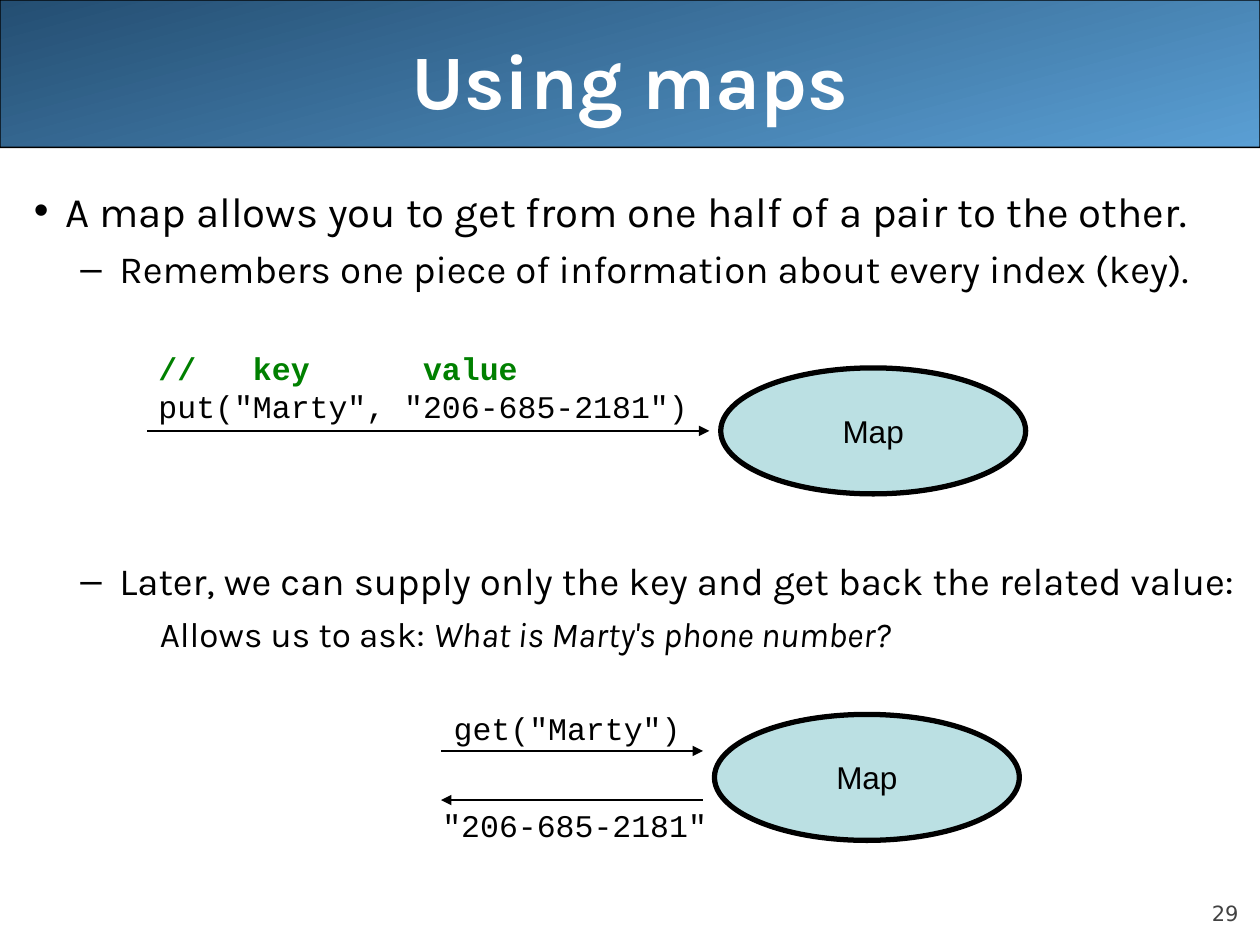
from pptx import Presentation
from pptx.dml.color import RGBColor
from pptx.enum.shapes import MSO_CONNECTOR as Link, MSO_SHAPE as Shape
from pptx.enum.text import MSO_ANCHOR as Anchor, PP_ALIGN as Align
from pptx.oxml.ns import qn
from pptx.util import Inches, Pt
from lxml.etree import SubElement

BLACK = RGBColor(0, 0, 0)
WHITE = RGBColor(255, 255, 255)
GRAY = RGBColor(0x42, 0x42, 0x42)
GREEN = RGBColor(0, 0x80, 0)
NAVY = RGBColor(0x24, 0x4E, 0x72)
SKY = RGBColor(0x5A, 0x9F, 0xD4)
AQUA = RGBColor(0xBB, 0xE0, 0xE3)
SANS, CODE = "Karla", "Courier New"


def write(para, text, font=SANS, size=18, color=BLACK, bold=False,
          slant=False, align=Align.LEFT, before=0):
    para.alignment = align
    para.space_before = Pt(before)
    run = para.add_run()
    run.text = text
    face = run.font
    face.name, face.size, face.bold, face.italic = font, Pt(size), bold, slant
    face.color.rgb = color


def indent(para, left, hang=0, mark=None):
    props = para._p.get_or_add_pPr()
    props.set("marL", str(Inches(left)))
    props.set("indent", str(-Inches(hang)))
    if mark:
        tint = SubElement(props, qn("a:buClr"))
        SubElement(tint, qn("a:srgbClr")).set("val", str(BLACK))
        SubElement(props, qn("a:buFont")).set("typeface", "Arial")
        SubElement(props, qn("a:buChar")).set("char", mark)


def frame(slide, left, top, width, height, anchor=Anchor.TOP, wrap=True):
    box = slide.shapes.add_textbox(Inches(left), Inches(top),
                                   Inches(width), Inches(height))
    text = box.text_frame
    text.word_wrap = wrap
    text.vertical_anchor = anchor
    return text


def solid(slide, kind, left, top, width, height, weight):
    shape = slide.shapes.add_shape(kind, Inches(left), Inches(top),
                                   Inches(width), Inches(height))
    shape.shadow.inherit = False
    shape.line.color.rgb = BLACK
    shape.line.width = Pt(weight)
    return shape


def arrow(slide, left, top, width, end="tailEnd"):
    line = slide.shapes.add_connector(Link.STRAIGHT, Inches(left), Inches(top),
                                      Inches(left + width), Inches(top))
    line.line.color.rgb = BLACK
    line.line.width = Pt(0.75)
    SubElement(line.line._get_or_add_ln(), qn("a:" + end)).set("type", "triangle")
    SubElement(line._element.spPr, qn("a:effectLst"))


def map_oval(slide, left, top):
    oval = solid(slide, Shape.OVAL, left, top, 2.42, 1, 3)
    oval.fill.solid()
    oval.fill.fore_color.rgb = AQUA
    text = oval.text_frame
    text.word_wrap = False
    text.vertical_anchor = Anchor.MIDDLE
    write(text.paragraphs[0], "Map", font="Arial", align=Align.CENTER)


def header(slide, left, top, width, height):
    band = solid(slide, Shape.ROUNDED_RECTANGLE, left, top, width, height, 0.75)
    band.adjustments[0] = 0.001
    band.fill.gradient()
    band.fill.gradient_angle = 285
    for stop, color in zip(band.fill.gradient_stops, (NAVY, SKY)):
        stop.color.rgb = color
    text = frame(slide, left + 0.5, top, width - 1, 1.25, Anchor.MIDDLE)
    write(text.paragraphs[0], "Using maps", size=44, color=WHITE, bold=True,
          align=Align.CENTER)


def body(slide, left, top, width, height):
    text = frame(slide, left, top, width, height)
    first = text.paragraphs[0]
    indent(first, 0.25, 0.25, "•")
    write(first, "A map allows you to get from one half of a pair to the other.", size=24)
    for words, gap in (
            ("Remembers one piece of information about every index (key).", 5.5),
            ("Later, we can supply only the key and get back the related value:", 152)):
        para = text.add_paragraph()
        indent(para, 0.68, 0.31, "–")
        write(para, words, size=22, before=gap)
    last = text.add_paragraph()
    indent(last, 1)
    write(last, "Allows us to ask: ", size=20, before=5)
    write(last, "What is Marty's phone number?", size=20, slant=True, before=5)


def put_scene(slide, left, top):
    map_oval(slide, left + 4.56, top + 0.2)
    arrow(slide, left + 0.01, top + 0.7, 4.46)
    text = frame(slide, left, top, 4.4, 0.7, wrap=False)
    write(text.paragraphs[0], "//   key      value", font=CODE, color=GREEN, bold=True)
    write(text.add_paragraph(), 'put("Marty", "206-685-2181")', font=CODE)


def get_scene(slide, left, top):
    map_oval(slide, left + 2.17, top + 0.09)
    arrow(slide, left, top + 0.38, 2.08)
    arrow(slide, left, top + 0.77, 2.08, "headEnd")
    for words, shift, drop, width in (('get("Marty")', 0, 0, 2),
                                      ('"206-685-2181"', -0.09, 0.77, 2.3)):
        text = frame(slide, left + shift, top + drop, width, 0.4, wrap=False)
        write(text.paragraphs[0], words, font=CODE, align=Align.RIGHT)


def footer(slide, left, top, width, height):
    text = frame(slide, left, top, width, height, Anchor.BOTTOM)
    text.margin_left = text.margin_right = text.margin_top = text.margin_bottom = 0
    write(text.paragraphs[0], "29", font="DejaVu Sans", size=12, color=GRAY,
          align=Align.RIGHT)


def main():
    deck = Presentation()
    deck.slide_width, deck.slide_height = Inches(10), Inches(7.5)
    slide = deck.slides.add_slide(deck.slide_layouts[6])
    header(slide, 0, 0, 10, 1.17)
    body(slide, 0.17, 1.42, 9.83, 5.67)
    put_scene(slide, 1.16, 2.72)
    get_scene(slide, 3.5, 5.58)
    footer(slide, 9, 6.95, 0.83, 0.4)
    deck.save("out.pptx")


if __name__ == "__main__":
    main()
